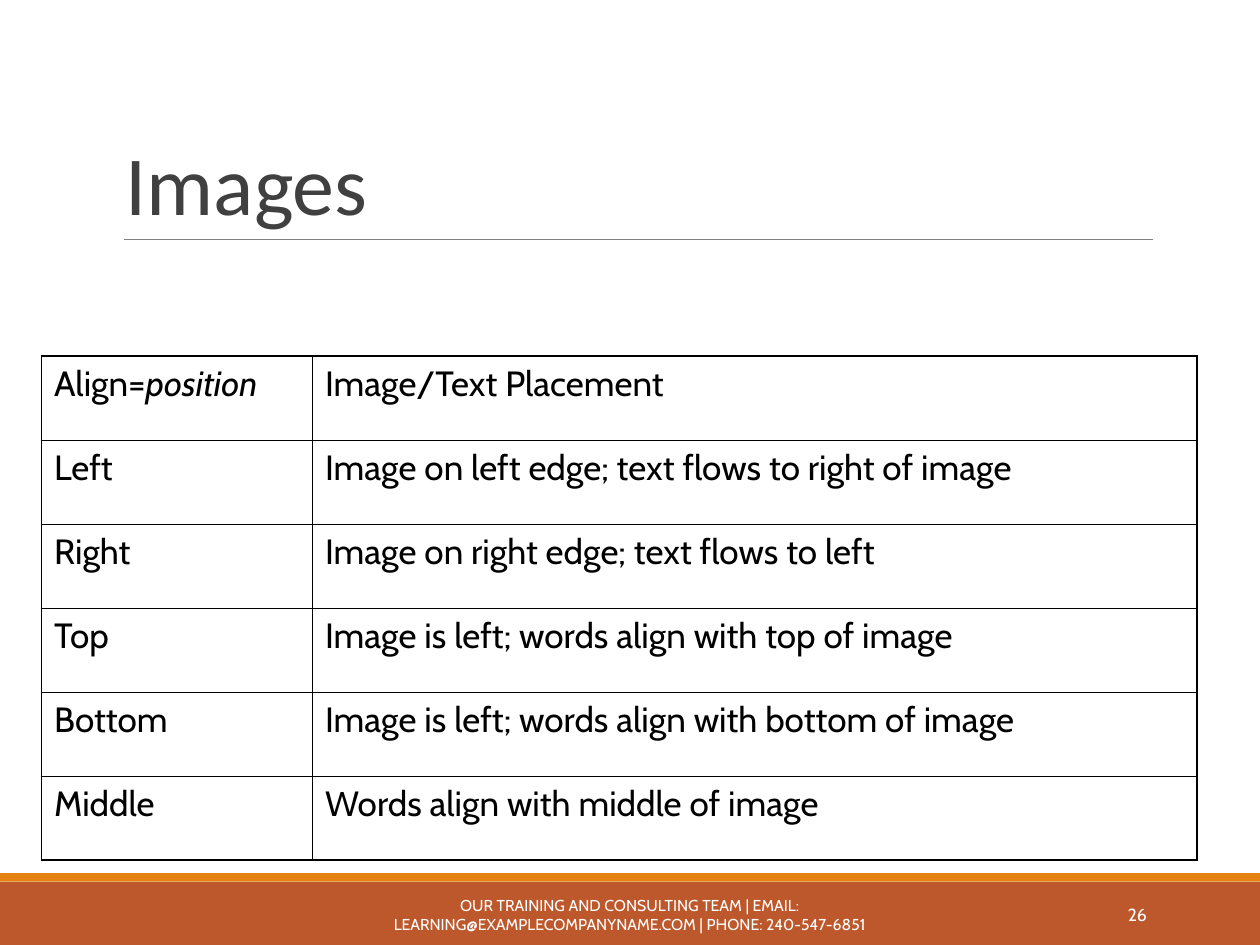
from collections import namedtuple

from lxml.etree import SubElement
from pptx import Presentation
from pptx.dml.color import RGBColor
from pptx.enum.shapes import MSO_CONNECTOR, MSO_SHAPE
from pptx.enum.text import MSO_ANCHOR, PP_ALIGN
from pptx.oxml.ns import qn
from pptx.util import Inches, Pt

BLACK = RGBColor(0x00, 0x00, 0x00)
WHITE = RGBColor(0xFF, 0xFF, 0xFF)
CHARCOAL = RGBColor(0x40, 0x40, 0x40)
GRAY = RGBColor(0x7F, 0x7F, 0x7F)
RUST = RGBColor(0xBD, 0x58, 0x2C)
ORANGE = RGBColor(0xE4, 0x83, 0x12)

SLIDE_WIDTH, SLIDE_HEIGHT = Inches(10), Inches(7.5)
OUTER_BORDER, INNER_BORDER = Pt(1.08), Pt(0.45)
FIRST_COLUMN_SHARE = 2.15 / 9.17

TITLE_FONT = {"name": "Calibri", "size": Pt(48), "color": CHARCOAL}
TABLE_FONT = {"name": "Cabin", "size": Pt(20), "color": BLACK}
FOOTER_FONT = {"name": "Cabin", "size": Pt(9), "color": WHITE}
NUMBER_FONT = {**FOOTER_FONT, "size": Pt(10)}

FOOTER = (
    "OUR TRAINING AND CONSULTING TEAM | EMAIL: "
    "LEARNING@EXAMPLECOMPANYNAME.COM | PHONE: 240-547-6851"
)
ROWS = [
    ("Align=", "Image/Text Placement"),
    ("Left", "Image on left edge; text flows to right of image"),
    ("Right", "Image on right edge; text flows to left"),
    ("Top", "Image is left; words align with top of image"),
    ("Bottom", "Image is left; words align with bottom of image"),
    ("Middle", "Words align with middle of image"),
]

Box = namedtuple("Box", "left top width height")


def inner_box(box, left, top, width, height):
    """Return the part of a box given by shares of its size."""
    return Box(
        round(box.left + left * box.width),
        round(box.top + top * box.height),
        round(width * box.width),
        round(height * box.height),
    )


def set_values(target, values):
    """Set each named attribute of an object."""
    for name, value in values.items():
        setattr(target, name, value)


def add_span(para, text, font, italic=False):
    """Add a formatted run to a paragraph."""
    span = para.add_run()
    span.text = text
    values = {"name": font["name"], "size": font["size"], "italic": italic}
    set_values(span.font, values)
    span.font.color.rgb = font["color"]


def add_text(page, box, text, font, frame_values, para_values):
    """Add a wrapped text box with one paragraph."""
    frame = page.shapes.add_textbox(*box).text_frame
    set_values(frame, {"word_wrap": True, **frame_values})
    para = frame.paragraphs[0]
    set_values(para, para_values)
    add_span(para, text, font)


def add_band(page, box, color):
    """Add a plain filled rectangle."""
    band = page.shapes.add_shape(MSO_SHAPE.RECTANGLE, *box)
    band.shadow.inherit = False
    band.fill.solid()
    band.fill.fore_color.rgb = color
    band.line.fill.background()


def add_header(page, box):
    """Place the title with the rule along the foot of its box."""
    left = box.left + round(0.01 * box.width)
    bottom = box.top + box.height
    rule = page.shapes.add_connector(
        MSO_CONNECTOR.STRAIGHT, left, bottom, box.left + box.width, bottom
    )
    rule.line.color.rgb = GRAY
    rule.line.width = Pt(0.5)
    SubElement(rule._element.spPr, qn("a:effectLst"))
    insets = {"margin_left": Inches(0.1), "margin_bottom": Inches(0.05)}
    add_text(
        page, box, "Images", TITLE_FONT,
        {"vertical_anchor": MSO_ANCHOR.BOTTOM, **insets},
        {"line_spacing": 0.85},
    )


def add_borders(cell, widths):
    """Draw the left, right, top and bottom borders of a cell."""
    properties = cell._tc.get_or_add_tcPr()
    for position, (side, width) in enumerate(widths.items()):
        border = SubElement(properties, qn(f"a:{side}"), w=str(int(width)))
        fill = SubElement(border, qn("a:solidFill"))
        SubElement(fill, qn("a:srgbClr"), val=str(BLACK))
        properties.remove(border)
        properties.insert(position, border)


def add_placement_table(page, box):
    """Place the table of align values with a heavier outer frame."""
    last_row, last_column = len(ROWS) - 1, len(ROWS[0]) - 1
    table = page.shapes.add_table(last_row + 1, last_column + 1, *box).table
    set_values(table, {"first_row": False, "horz_banding": False})
    table.columns[0].width = round(FIRST_COLUMN_SHARE * box.width)
    table.columns[1].width = box.width - table.columns[0].width
    for row, texts in enumerate(ROWS):
        table.rows[row].height = round(box.height / len(ROWS))
        for column, text in enumerate(texts):
            cell = table.cell(row, column)
            cell.fill.background()
            para = cell.text_frame.paragraphs[0]
            para.space_before = Pt(5)
            add_span(para, text, TABLE_FONT)
            outer_sides = {
                "lnL": column == 0,
                "lnR": column == last_column,
                "lnT": row == 0,
                "lnB": row == last_row,
            }
            add_borders(cell, {
                side: OUTER_BORDER if outer else INNER_BORDER
                for side, outer in outer_sides.items()
            })
    heading = table.cell(0, 0).text_frame.paragraphs[0]
    add_span(heading, "position", TABLE_FONT, italic=True)


def add_footer(page, box):
    """Place the two bands, the contact line and the slide number."""
    add_band(page, inner_box(box, 0, 0.12, 1, 0.88), RUST)
    add_band(page, inner_box(box, 0, 0, 1, 0.12), ORANGE)
    middle = {"vertical_anchor": MSO_ANCHOR.MIDDLE}
    add_text(
        page, inner_box(box, 0.302, 0.23, 0.395, 0.7), FOOTER,
        FOOTER_FONT, middle, {"alignment": PP_ALIGN.CENTER},
    )
    add_text(
        page, inner_box(box, 0.812, 0.23, 0.108, 0.7), "26",
        NUMBER_FONT, middle, {"alignment": PP_ALIGN.RIGHT},
    )


def main():
    """Build the slide and save the deck."""
    deck = Presentation()
    set_values(deck, {"slide_width": SLIDE_WIDTH, "slide_height": SLIDE_HEIGHT})
    page = deck.slides.add_slide(deck.slide_layouts[6])
    slide = Box(0, 0, SLIDE_WIDTH, SLIDE_HEIGHT)
    add_footer(page, inner_box(slide, 0, 0.924, 1, 0.076))
    add_header(page, inner_box(slide, 0.09, 0.041, 0.825, 0.212))
    add_placement_table(page, inner_box(slide, 0.033, 0.377, 0.917, 0.533))
    deck.save("out.pptx")


if __name__ == "__main__":
    main()
